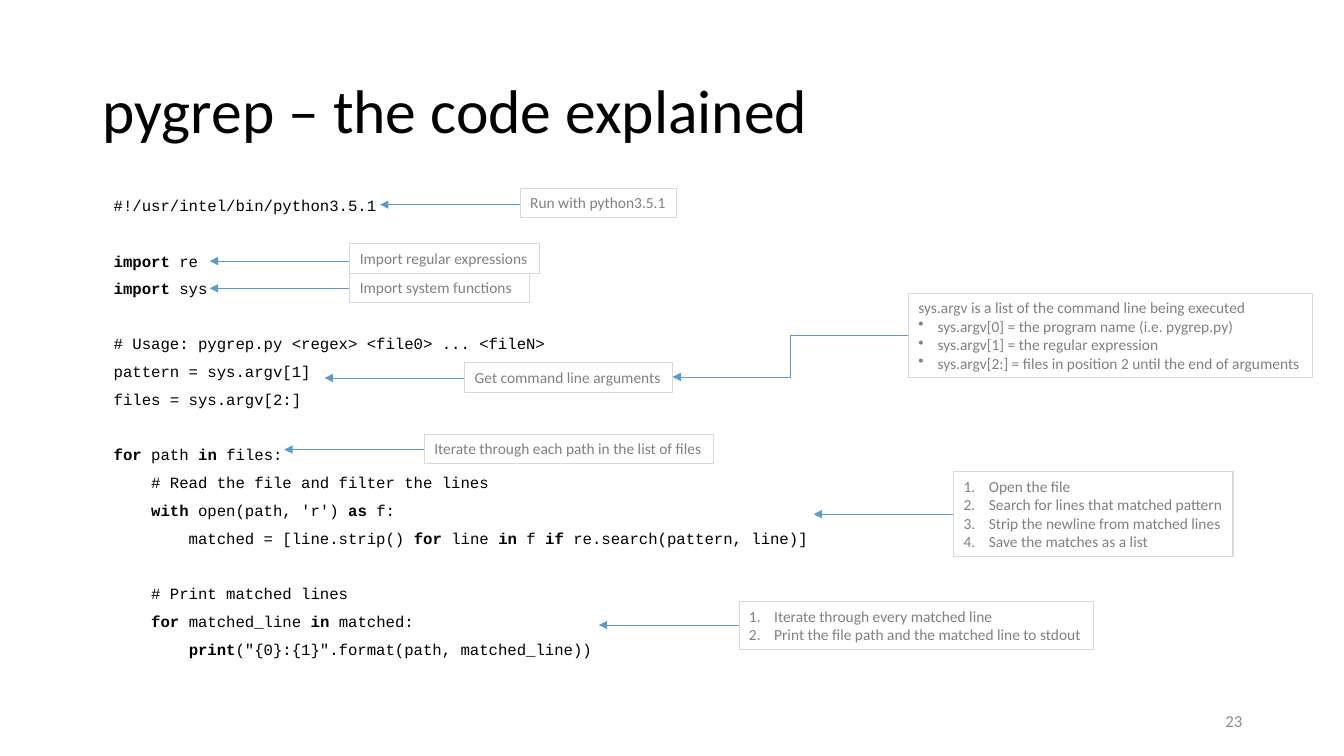
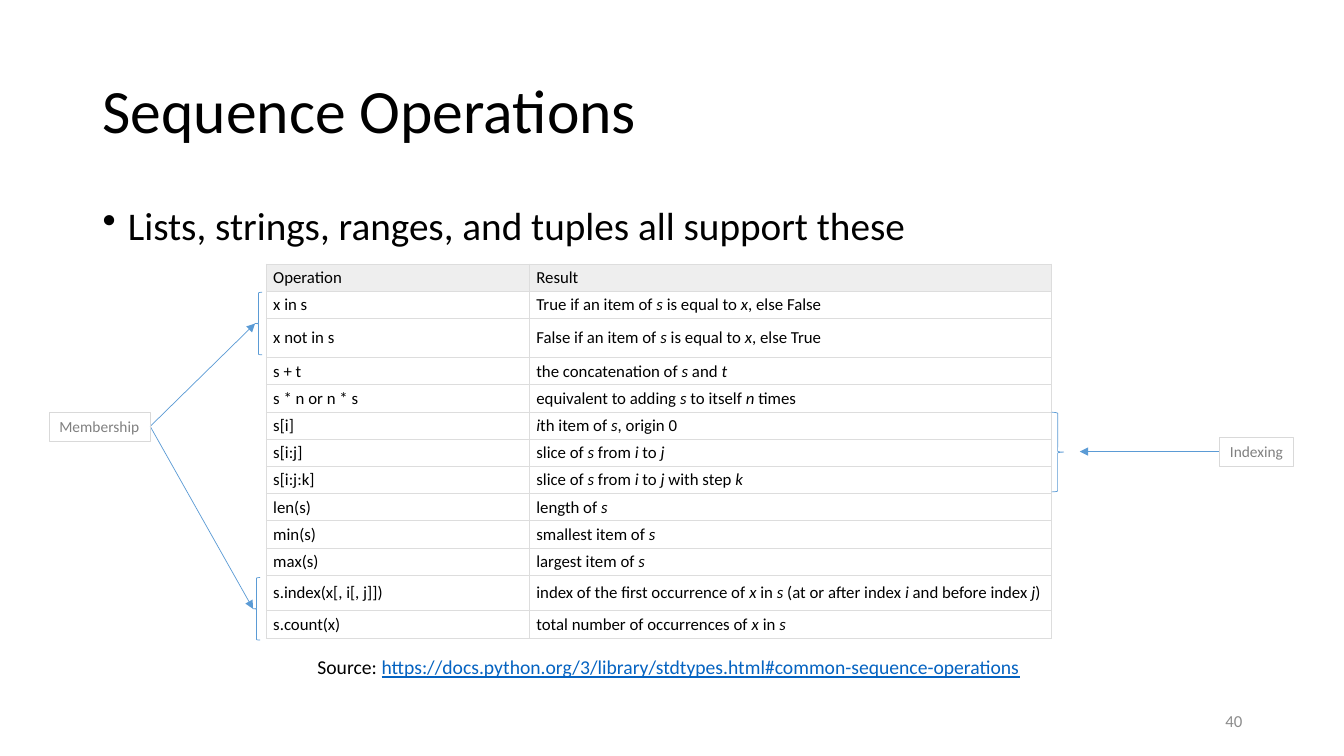
"""Build two slides on Python: a script explained and the sequence operations."""
from pptx import Presentation
from pptx.dml.color import RGBColor
from pptx.enum.shapes import MSO_CONNECTOR, MSO_SHAPE
from pptx.enum.text import MSO_ANCHOR, PP_ALIGN
from pptx.oxml import parse_xml
from pptx.oxml.ns import nsdecls, qn
from pptx.util import Emu, Pt

PX = 9144
BLACK = RGBColor(0, 0, 0)
GRAY = RGBColor(0x80, 0x80, 0x80)
PALE = RGBColor(0x8C, 0x8C, 0x8C)
RULE = RGBColor(0xD9, 0xD9, 0xD9)
GRID = RGBColor(0xDD, 0xDD, 0xDD)
HEAD = RGBColor(0xEE, 0xEE, 0xEE)
WHITE = RGBColor(0xFF, 0xFF, 0xFF)
BLUE = RGBColor(0x5B, 0x9B, 0xD5)
LINK = RGBColor(0x05, 0x63, 0xC1)

BULLETS = {"• ": '<a:buChar {} char="•"/>',
           "№ ": '<a:buAutoNum {} type="arabicPeriod"/>'}
ARROW = 139

CODE = [
    "#!/usr/intel/bin/python3.5.1",
    "",
    "~import~ re",
    "~import~ sys",
    "",
    "# Usage: pygrep.py <regex> <file0> ... <fileN>",
    "pattern = sys.argv[1]",
    "files = sys.argv[2:]",
    "",
    "~for~ path ~in~ files:",
    "    # Read the file and filter the lines",
    "    ~with~ open(path, 'r') ~as~ f:",
    "        matched = [line.strip() ~for~ line ~in~ f ~if ~re.search(pattern, line)]",
    "",
    "    # Print matched lines",
    "    ~for ~matched_line ~in~ matched:",
    '        ~print~("{0}:{1}".format(path, matched_line))',
]

# left, top, width, arrow height, lines
NOTES = [
    (516, 187, 155, 203, ["Run with python3.5.1"]),
    (347, 242, 188, 259, ["Import regular expressions"]),
    (347, 271, 178, 286, ["Import system functions"]),
    (461, 360, 206, 375, ["Get command line arguments"]),
    (946, 468, 277, 510, ["№ Open the file",
                          "№ Search for lines that matched pattern",
                          "№ Strip the newline from matched lines",
                          "№ Save the matches as a list"]),
    (421, 431, 287, 446, ["Iterate through each path in the list of files"]),
    (733, 597, 352, 620, ["№ Iterate through every matched line",
                          "№ Print the file path and the matched line to stdout"]),
]
ARGV = [
    "sys.argv is a list of the command line being executed",
    "• sys.argv[0] = the program name (i.e. pygrep.py)",
    "• sys.argv[1] = the regular expression",
    "• sys.argv[2:] = files in position 2 until the end of arguments",
]

ROWS = [
    (27, "Operation", "Result"),
    (27, "x in s", "True if an item of ~s~ is equal to ~x~, else False"),
    (39, "x not in s", "False if an item of ~s~ is equal to ~x~, else True"),
    (27, "s + t", "the concatenation of ~s~ and ~t~"),
    (27, "s * n or n * s", "equivalent to adding ~s~ to itself ~n~ times"),
    (27, "s[i]", "~i~th item of ~s~, origin 0"),
    (27, "s[i:j]", "slice of ~s~ from ~i~ to ~j~"),
    (27, "s[i:j:k]", "slice of ~s~ from ~i~ to ~j~ with step ~k~"),
    (27, "len(s)", "length of ~s~"),
    (27, "min(s)", "smallest item of ~s~"),
    (27, "max(s)", "largest item of ~s~"),
    (35, "s.index(x[, i[, j]])", "index of the first occurrence of ~x~ in ~s~ "
     "(at or after index ~i~ and before index ~j~)"),
    (28, "s.count(x)", "total number of occurrences of ~x~ in ~s~"),
]
COLS = (261, 518)
BRACES = [
    (MSO_SHAPE.LEFT_BRACE, 251, 573, 7, 62),
    (MSO_SHAPE.LEFT_BRACE, 253, 290, 7, 62),
    (MSO_SHAPE.RIGHT_BRACE, 1043, 409, 12, 79),
]
SOURCE = "Source: ~https://docs.python.org/3/library/stdtypes.html#common-sequence-operations~"


def px(*sizes):
    return [Emu(size * PX) for size in sizes]


def write(frame, lines, size=11, font="Calibri", color=BLACK, mark="italic",
          align=PP_ALIGN.LEFT, lead=None, before=0, skip=0, hang=25):
    """Fill a frame; text between tildes is marked, an empty line widens the gap."""
    gap, para = 0, None
    for line in lines:
        if not line:
            gap += skip
            continue
        para = frame.add_paragraph() if para else frame.paragraphs[0]
        para.alignment = align
        if lead:
            para.line_spacing = lead
        para.space_before = Pt(gap)
        gap = before
        if line[:2] in BULLETS:
            props = para._p.get_or_add_pPr()
            props.set("marL", str(hang * PX))
            props.set("indent", str(-hang * PX))
            props.append(parse_xml(BULLETS[line[:2]].format(nsdecls("a"))))
            line = line[2:]
        for spot, part in enumerate(line.split("~")):
            if not part:
                continue
            run = para.add_run()
            run.text = part
            face = run.font
            face.name, face.size, face.bold = font, Pt(size), False
            face.color.rgb = color
            if spot % 2:
                setattr(face, mark, True)
                if mark == "underline":
                    face.color.rgb = LINK


def label(slide, box, lines, anchor=MSO_ANCHOR.TOP, wrap=True, **style):
    shape = slide.shapes.add_textbox(*px(*box))
    frame = shape.text_frame
    frame.word_wrap = wrap
    frame.vertical_anchor = anchor
    write(frame, lines, **style)
    return shape


def note(slide, left, top, width, lines, **style):
    tall = 10 + round(18.6 * len(lines))
    shape = label(slide, (left, top, width, tall), lines, wrap=False, color=GRAY, **style)
    shape.line.color.rgb = RULE
    shape.line.width = Pt(0.75)


def arrow(slide, start, end, kind=MSO_CONNECTOR.STRAIGHT):
    wire = slide.shapes.add_connector(kind, *px(*start, *end))
    wire.line.color.rgb = BLUE
    wire.line.width = Pt(0.5)
    props = wire.element.spPr
    props.find(qn("a:ln")).append(parse_xml(f'<a:tailEnd {nsdecls("a")} type="triangle"/>'))
    props.append(parse_xml(f'<a:effectLst {nsdecls("a")}/>'))


def point(slide, left, top, width, aim, lines):
    arrow(slide, (left, aim), (left - ARROW, aim))
    note(slide, left, top, width, lines)


def brace(slide, kind, *box):
    shape = slide.shapes.add_shape(kind, *px(*box))
    shape.shadow.inherit = False
    shape.fill.background()
    shape.line.color.rgb = BLUE
    shape.line.width = Pt(0.5)


def grid(slide, left, top):
    size = sum(COLS), sum(row[0] for row in ROWS)
    table = slide.shapes.add_table(len(ROWS), len(COLS), *px(left, top, *size)).table
    table.horz_banding = False
    for col, width in zip(table.columns, px(*COLS)):
        col.width = width
    for i, (tall, *texts) in enumerate(ROWS):
        table.rows[i].height = Emu(tall * PX)
        for j, text in enumerate(texts):
            cell = table.cell(i, j)
            cell.margin_left, cell.margin_right = px(7, 7)
            cell.margin_top, cell.margin_bottom = px(3, 3)
            cell.vertical_anchor = MSO_ANCHOR.MIDDLE
            cell.fill.solid()
            cell.fill.fore_color.rgb = WHITE if i else HEAD
            write(cell.text_frame, [text], size=12)
            props = cell._tc.get_or_add_tcPr()
            for k, side in enumerate("LRTB"):
                props.insert(k, parse_xml(
                    f'<a:ln{side} {nsdecls("a")} w="9525"><a:solidFill>'
                    f'<a:srgbClr val="{GRID}"/></a:solidFill></a:ln{side}>'))


def start(deck, title, number):
    slide = deck.slides.add_slide(deck.slide_layouts[6])
    label(slide, (92, 40, 1150, 145), [title], MSO_ANCHOR.MIDDLE, size=44, lead=0.9)
    label(slide, (942, 695, 300, 40), [number], MSO_ANCHOR.MIDDLE,
          size=12, color=PALE, align=PP_ALIGN.RIGHT)
    return slide


def explain(deck):
    slide = start(deck, "pygrep – the code explained", "23")
    label(slide, (103, 195, 1150, 476), CODE, size=11.2, font="Courier New",
          mark="bold", lead=0.7, before=10.5, skip=19.4)
    for item in NOTES:
        point(slide, *item)
    note(slide, 901, 291, 401, ARGV, hang=19)
    arrow(slide, (901, 333), (667, 374), MSO_CONNECTOR.ELBOW)


def operate(deck):
    slide = start(deck, "Sequence Operations", "40")
    label(slide, (92, 200, 1150, 60),
          ["• Lists, strings, ranges, and tuples all support these"], size=28, lead=0.9)
    grid(slide, 264, 262)
    label(slide, (305, 645, 723, 34), [SOURCE], wrap=False, size=14, mark="underline")
    for end in ((253, 321), (251, 604)):
        arrow(slide, (149, 423), end)
    note(slide, 49, 409, 100, ["Membership"])
    for item in BRACES:
        brace(slide, *item)
    point(slide, 1210, 434, 73, 448, ["Indexing"])


def main():
    deck = Presentation()
    deck.slide_width, deck.slide_height = px(1333, 750)
    explain(deck)
    operate(deck)
    deck.save("out.pptx")


if __name__ == "__main__":
    main()
